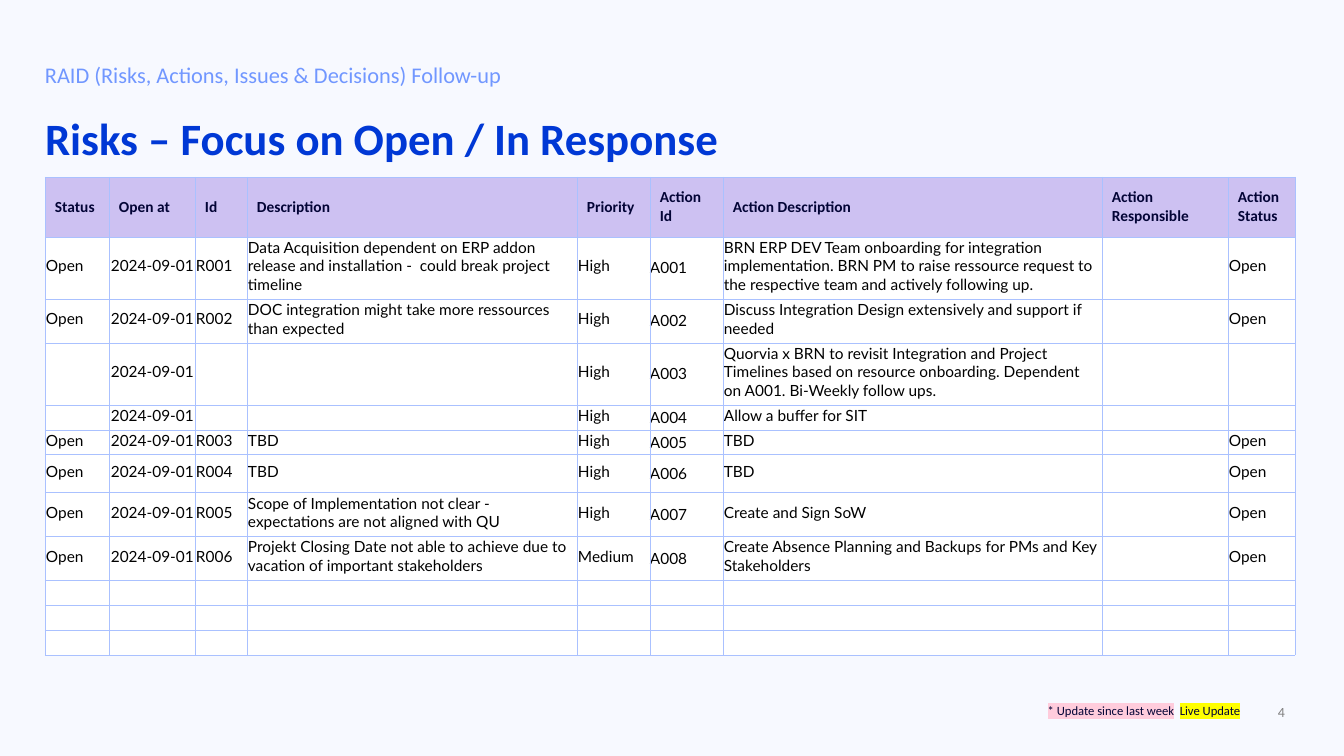
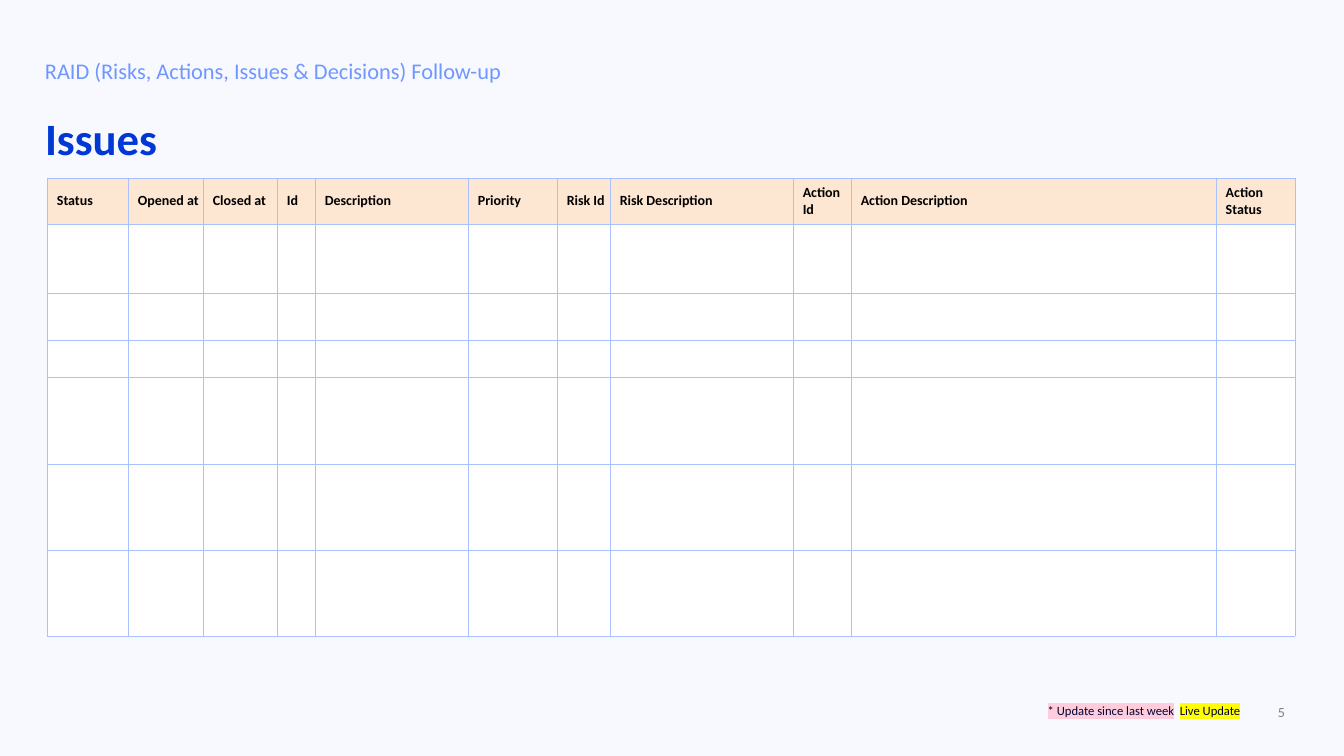
"""Build the RAID follow-up slides: risks and issues."""
from dataclasses import dataclass
from typing import NamedTuple

from lxml import etree
from pptx import Presentation
from pptx import util as u
from pptx.dml.color import RGBColor
from pptx.enum import text
from pptx.oxml import ns


@dataclass(frozen=True)
class Theme:
    """Colours, fonts and type sizes of the deck."""
    background: str = "F7F9FF"
    title: str = "0038D5"
    subtitle: str = "7197FF"
    ink: str = "030436"
    body: str = "000000"
    number: str = "808080"
    border: str = "AAC1FF"
    cell: str = "FFFFFF"
    risk_header: str = "CDC1F2"
    issue_header: str = "FDE7D2"
    updated: str = "FFCCDC"
    live: str = "FFFF00"
    font: str = "Calibri"
    table_font: str = "Lato"
    title_size: int = 32
    subtitle_size: int = 16
    body_size: int = 11
    small_header_size: int = 10
    number_size: int = 10
    legend_size: int = 9
    empty_size: int = 8


THEME = Theme()
EMU_PER_PX = 914400 / 100.8


class Box(NamedTuple):
    """Left, top, width and height in px."""
    left: int
    top: int
    width: int
    height: int


class Insets(NamedTuple):
    """Left, top, right and bottom margins in px."""
    left: int
    top: int
    right: int
    bottom: int


class Style(NamedTuple):
    """Look of a piece of text."""
    size: int
    color: str
    bold: bool = False
    font: str = THEME.font


class Column(NamedTuple):
    """Header and width of a table column, with its cell layout."""
    header: str
    width: int
    align: text.PP_ALIGN = text.PP_ALIGN.LEFT
    insets: Insets = Insets(1, 1, 1, 5)


@dataclass(frozen=True)
class Log:
    """One slide with its table."""
    title: str
    number: int
    subtitle_top: int
    left: int
    top: int
    columns: list[Column]
    heights: list[int]
    rows: list[tuple[str, ...]]
    header_fill: str
    header_style: Style
    header_insets: Insets


TEXT_INSETS = Insets(0, 5, 10, 5)
DEFAULT_INSETS = Insets(10, 5, 10, 5)
BODY_STYLE = Style(THEME.body_size, THEME.body, font=THEME.table_font)
SUBTITLE = "RAID (Risks, Actions, Issues & Decisions) Follow-up"
OPENED = "2024-09-01"

RISKS = Log(
    title="Risks – Focus on Open / In Response",
    number=4,
    subtitle_top=51,
    left=45,
    top=177,
    columns=[
        Column("Status", 64),
        Column("Open at", 86, text.PP_ALIGN.RIGHT),
        Column("Id", 52),
        Column("Description", 330),
        Column("Priority", 73),
        Column("Action Id", 73, insets=Insets(0, 0, 0, 0)),
        Column("Action Description", 379),
        Column("Action Responsible", 126),
        Column("Action Status", 67),
    ],
    heights=[60, 62, 44, 62, 25, 24, 38, 44, 43, 25, 25, 25],
    rows=[
        ("Open", OPENED, "R001",
         "Data Acquisition dependent on ERP addon release and installation -  could break project timeline",
         "High", "A001",
         "BRN ERP DEV Team onboarding for integration implementation. BRN PM to raise ressource request to "
         "the respective team and actively following up.", "", "Open"),
        ("Open", OPENED, "R002", "DOC integration might take more ressources than expected",
         "High", "A002", "Discuss Integration Design extensively and support if needed", "", "Open"),
        ("", OPENED, "", "", "High", "A003",
         "Quorvia x BRN to revisit Integration and Project Timelines based on resource onboarding. "
         "Dependent on A001. Bi-Weekly follow ups.", "", ""),
        ("", OPENED, "", "", "High", "A004", "Allow a buffer for SIT", "", ""),
        ("Open", OPENED, "R003", "TBD", "High", "A005", "TBD", "", "Open"),
        ("Open", OPENED, "R004", "TBD", "High", "A006", "TBD", "", "Open"),
        ("Open", OPENED, "R005", "Scope of Implementation not clear - expectations are not aligned with QU",
         "High", "A007", "Create and Sign SoW", "", "Open"),
        ("Open", OPENED, "R006",
         "Projekt Closing Date not able to achieve due to vacation of important stakeholders",
         "Medium", "A008", "Create Absence Planning and Backups for PMs and Key Stakeholders", "", "Open"),
    ],
    header_fill=THEME.risk_header,
    header_style=Style(THEME.body_size, THEME.ink, True),
    header_insets=DEFAULT_INSETS,
)

ISSUES = Log(
    title="Issues",
    number=5,
    subtitle_top=47,
    left=47,
    top=178,
    columns=[
        Column("Status", 81),
        Column("Opened at", 75),
        Column("Closed at", 74),
        Column("Id", 38),
        Column("Description", 153),
        Column("Priority", 89),
        Column("Risk Id", 53),
        Column("Risk Description", 183),
        Column("Action Id", 58),
        Column("Action Description", 365),
        Column("Action Status", 79),
    ],
    heights=[46, 69, 47, 37, 87, 86, 86],
    rows=[],
    header_fill=THEME.issue_header,
    header_style=Style(THEME.small_header_size, THEME.body, True),
    header_insets=Insets(10, 0, 0, 0),
)


def px(length: int) -> u.Emu:
    """Turn px into EMU."""
    return u.Emu(round(length * EMU_PER_PX))


def set_insets(target, insets: Insets) -> None:
    """Set the margins of a text frame or a cell."""
    target.margin_left, target.margin_top, target.margin_right, target.margin_bottom = map(px, insets)


def format_run(run, style: Style) -> None:
    """Apply a text style to a run."""
    font = run.font
    font.name, font.size, font.bold = style.font, u.Pt(style.size), style.bold
    font.color.rgb = RGBColor.from_string(style.color)


def add_color(parent, color: str) -> None:
    """Append an RGB colour element."""
    etree.SubElement(parent, ns.qn("a:srgbClr")).set("val", color)


def highlight(run, color: str) -> None:
    """Mark a run with a background colour."""
    marker = etree.Element(ns.qn("a:highlight"))
    add_color(marker, color)
    run.font._element.find(ns.qn("a:solidFill")).addnext(marker)


def fill_frame(frame, content: str, style: Style, align: text.PP_ALIGN, anchor: text.MSO_ANCHOR,
               insets: Insets):
    """Write one formatted paragraph into a text frame and return it."""
    frame.word_wrap = True
    frame.auto_size = text.MSO_AUTO_SIZE.NONE
    frame.vertical_anchor = anchor
    set_insets(frame, insets)
    frame.text = content
    paragraph = frame.paragraphs[0]
    paragraph.alignment = align
    for run in paragraph.runs:
        format_run(run, style)
    return paragraph


def add_text(slide, box: Box, content: str, style: Style, align=text.PP_ALIGN.LEFT,
             anchor=text.MSO_ANCHOR.MIDDLE, insets: Insets = DEFAULT_INSETS):
    """Add a text box and return its paragraph."""
    shape = slide.shapes.add_textbox(*map(px, box))
    return fill_frame(shape.text_frame, content, style, align, anchor, insets)


def set_borders(cell, color: str) -> None:
    """Draw a thin line on each side of a cell."""
    properties = cell._tc.get_or_add_tcPr()
    for index, side in enumerate("LRTB"):
        line = etree.Element(ns.qn(f"a:ln{side}"), w=str(u.Pt(0.25)))
        add_color(etree.SubElement(line, ns.qn("a:solidFill")), color)
        properties.insert(index, line)


def fill_cell(cell, content: str, style: Style, fill: str, insets: Insets, align: text.PP_ALIGN) -> None:
    """Write and format one table cell."""
    cell.fill.solid()
    cell.fill.fore_color.rgb = RGBColor.from_string(fill)
    cell.vertical_anchor = text.MSO_ANCHOR.MIDDLE
    set_insets(cell, insets)
    set_borders(cell, THEME.border)
    paragraph = cell.text_frame.paragraphs[0]
    paragraph.alignment = align
    if content:
        paragraph.text = content
        format_run(paragraph.runs[0], style)
    else:
        paragraph._p.get_or_add_endParaRPr().set("sz", str(THEME.empty_size * 100))


def add_log_table(slide, log: Log) -> None:
    """Add the table of a log, padded with empty rows."""
    box = Box(log.left, log.top, sum(column.width for column in log.columns), sum(log.heights))
    table = slide.shapes.add_table(len(log.heights), len(log.columns), *map(px, box)).table
    table.horz_banding = False
    for row, height in zip(table.rows, log.heights):
        row.height = px(height)
    for index, column in enumerate(log.columns):
        table.columns[index].width = px(column.width)
        fill_cell(table.cell(0, index), column.header, log.header_style, log.header_fill,
                  log.header_insets, text.PP_ALIGN.LEFT)
        for row in range(1, len(log.heights)):
            content = log.rows[row - 1][index] if row <= len(log.rows) else ""
            fill_cell(table.cell(row, index), content, BODY_STYLE, THEME.cell, column.insets, column.align)


def add_legend(slide) -> None:
    """Add the key of the highlight colours."""
    style = Style(THEME.legend_size, THEME.ink)
    paragraph = add_text(slide, Box(1010, 683, 268, 55), "* Update since last week", style,
                         text.PP_ALIGN.CENTER)
    highlight(paragraph.runs[0], THEME.updated)
    gap, live = paragraph.add_run(), paragraph.add_run()
    gap.text, live.text = " ", "Live Update"
    format_run(gap, style)
    gap.font._element.set("spc", "200")
    format_run(live, style)
    highlight(live, THEME.live)


def add_log_slide(presentation, log: Log) -> None:
    """Add one slide with title, subtitle, table and footer."""
    slide = presentation.slides.add_slide(presentation.slide_layouts[5])
    title = slide.shapes.title
    title.left, title.top, title.width, title.height = map(px, Box(45, 106, 1250, 66))
    fill_frame(title.text_frame, log.title, Style(THEME.title_size, THEME.title, True),
               text.PP_ALIGN.LEFT, text.MSO_ANCHOR.TOP, TEXT_INSETS)
    subtitle = add_text(slide, Box(45, log.subtitle_top, 1250, 43), SUBTITLE,
                        Style(THEME.subtitle_size, THEME.subtitle), anchor=text.MSO_ANCHOR.TOP,
                        insets=TEXT_INSETS)
    subtitle.line_spacing, subtitle.space_before, subtitle.space_after = 1.2, u.Pt(10), u.Pt(6)
    add_log_table(slide, log)
    add_text(slide, Box(993, 698, 302, 27), str(log.number), Style(THEME.number_size, THEME.number),
             text.PP_ALIGN.RIGHT)
    add_legend(slide)


def main() -> None:
    """Build and save the presentation."""
    presentation = Presentation()
    presentation.slide_width, presentation.slide_height = px(1344), px(756)
    background = presentation.slide_master.background.fill
    background.solid()
    background.fore_color.rgb = RGBColor.from_string(THEME.background)
    for log in (RISKS, ISSUES):
        add_log_slide(presentation, log)
    presentation.save("out.pptx")


if __name__ == "__main__":
    main()
